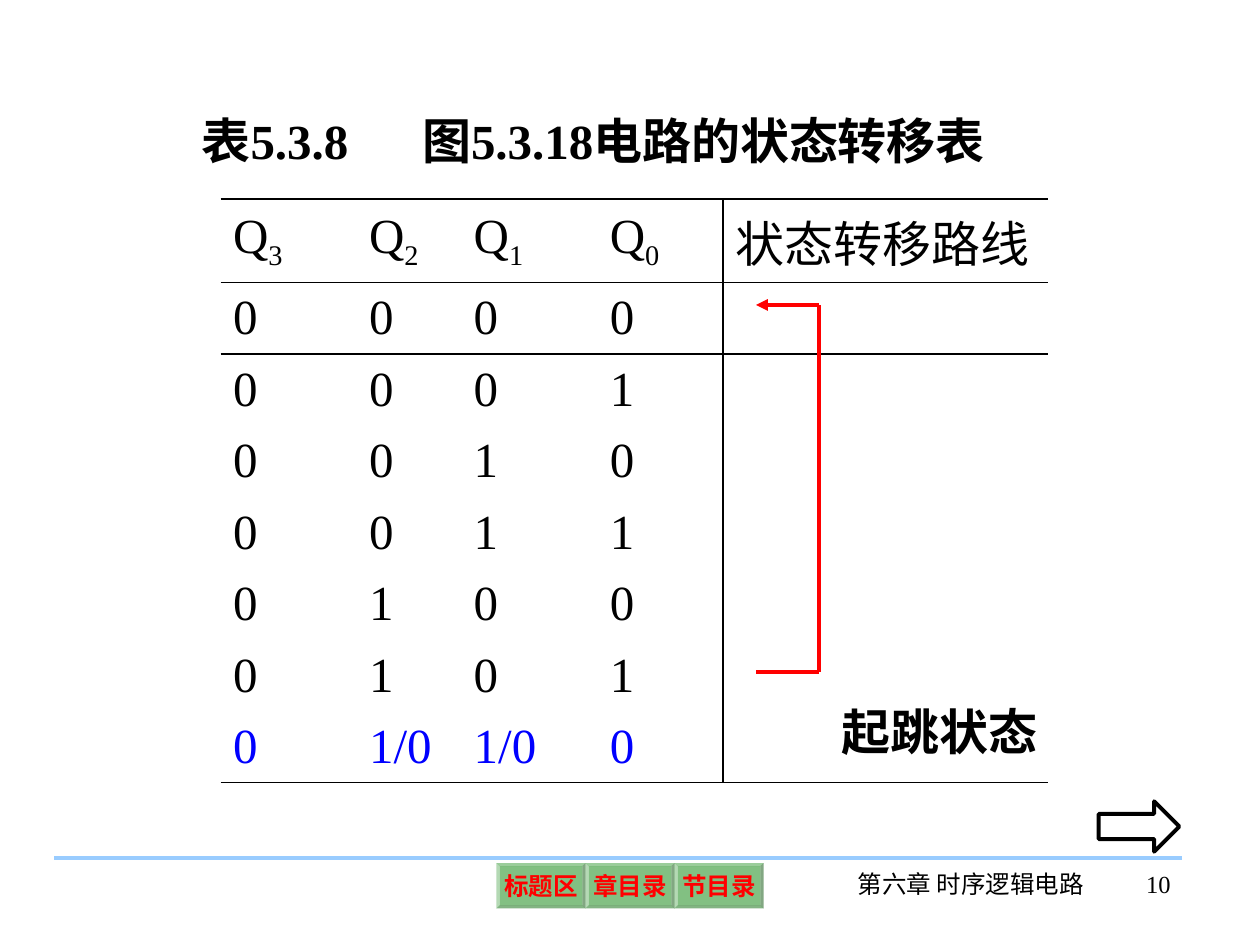
from dataclasses import dataclass
from typing import NamedTuple

from lxml import etree
from pptx import Presentation
from pptx.dml import color
from pptx.enum import shapes, text
from pptx.oxml import ns
from pptx.util import Inches, Pt


@dataclass(frozen=True)
class Theme:
    font: str = "Times New Roman"
    ink: str = "000000"
    jump: str = "0000FF"
    accent: str = "FF0000"
    rule: str = "99CCFF"
    button: str = "008000"
    button_alpha: int = 49
    body: int = 28
    small: int = 14
    line: float = 2.25
    border: float = 1.08


class Box(NamedTuple):
    x: int
    y: int
    w: int
    h: int


THEME = Theme()
NO_STYLE = "{2D5ABB26-0587-4C30-8999-92F81FD0307C}"
COL_WIDTHS = (1.08, 0.83, 1.08, 1, 2.58)
HEADER_HEIGHT, ROW_HEIGHT = 0.63, 0.56
STATES = ("0000", "0001", "0010", "0011", "0100", "0101")
JUMP_STATE = ("0", "1/0", "1/0", "0")


def box(x, y, w, h):
    return Box(Inches(x), Inches(y), Inches(w), Inches(h))


def rgb(value):
    return color.RGBColor.from_string(value)


def add_xml(parent, tag, **attrs):
    return etree.SubElement(parent, ns.qn(tag), attrs)


def style(p, size, ink=THEME.ink, bold=False, align=text.PP_ALIGN.LEFT):
    p.alignment = align
    p.font.name = THEME.font
    p.font.size = Pt(size)
    p.font.bold = bold
    p.font.color.rgb = rgb(ink)


def add_line(s, start, end, ink, arrow=False):
    line = s.shapes.add_connector(shapes.MSO_CONNECTOR.STRAIGHT, *start, *end)
    line.line.color.rgb = rgb(ink)
    line.line.width = Pt(THEME.line)
    if arrow:
        add_xml(line.line._get_or_add_ln(), "a:tailEnd", type="triangle")
    add_xml(line._element.spPr, "a:effectLst")


def add_label(s, b, words, size, **look):
    tf = s.shapes.add_textbox(*b).text_frame
    tf.word_wrap = True
    p = tf.paragraphs[0]
    p.text = words
    style(p, size, **look)


def place_title(s, b):
    title = s.shapes.title
    title.left, title.top, title.width, title.height = b
    tf = title.text_frame
    tf.auto_size = text.MSO_AUTO_SIZE.NONE
    tf.vertical_anchor = text.MSO_ANCHOR.TOP
    p = tf.paragraphs[0]
    p.add_run().text = "表5.3.8\t图5.3.18电路的状态转移表"
    tabs = add_xml(p._p.get_or_add_pPr(), "a:tabLst")
    add_xml(tabs, "a:tab", pos=str(Inches(1.75)), algn="l")
    style(p, THEME.body, bold=True)


def set_borders(cell, sides):
    tc_pr = cell._tc.get_or_add_tcPr()
    for side in "LRTB":
        if side in sides:
            ln = add_xml(tc_pr, f"a:ln{side}", w=str(Pt(THEME.border)))
            fill = add_xml(ln, "a:solidFill")
            add_xml(fill, "a:srgbClr", val=THEME.ink)


def fill_header(cells):
    for cell, index in zip(cells, "3210"):
        p = cell.text_frame.paragraphs[0]
        p.add_run().text = "Q"
        r = p.add_run()
        r.text = index
        r._r.get_or_add_rPr().set("baseline", "-25000")
        style(p, THEME.body)
    p = cells[-1].text_frame.paragraphs[0]
    p.text = "状态转移路线"
    style(p, THEME.body)


def add_state_table(s, b):
    rows = [*STATES, JUMP_STATE]
    last = len(rows)
    table = s.shapes.add_table(last + 1, len(COL_WIDTHS), *b).table
    table.first_row = table.horz_banding = False
    table._tbl.tblPr.find(ns.qn("a:tableStyleId")).text = NO_STYLE
    for column, width in zip(table.columns, COL_WIDTHS):
        column.width = Inches(width)
    row_height = (b.h - Inches(HEADER_HEIGHT)) // last
    for i, row in enumerate(table.rows):
        row.height = row_height if i else Inches(HEADER_HEIGHT)
        for j, cell in enumerate(row.cells):
            sides = {3: "R", 4: "L"}.get(j, "")
            sides += "T" if i < 2 else ""
            sides += "B" if i in (0, last) else ""
            set_borders(cell, sides)
            cell.fill.background()
            cell.vertical_anchor = text.MSO_ANCHOR.MIDDLE
    fill_header(list(table.rows[0].cells))
    for i, values in enumerate(rows, 1):
        for cell, value in zip(table.rows[i].cells, values):
            p = cell.text_frame.paragraphs[0]
            p.text = value
            style(p, THEME.body, ink=THEME.jump if i == last else THEME.ink)


def add_return_path(s, b):
    right, bottom = b.x + b.w, b.y + b.h
    points = [(b.x, bottom), (right, bottom), (right, b.y), (b.x, b.y)]
    for i, (start, end) in enumerate(zip(points, points[1:])):
        add_line(s, start, end, THEME.accent, arrow=i == 2)


def add_buttons(s, b):
    names = ("标题区", "章目录", "节目录")
    width = b.w // len(names)
    for i, name in enumerate(names):
        sp = s.shapes.add_shape(
            shapes.MSO_SHAPE.BEVEL, b.x + i * width, b.y, width, b.h)
        sp.adjustments[0] = 0.07
        sp.shadow.inherit = False
        sp.fill.solid()
        sp.fill.fore_color.rgb = rgb(THEME.button)
        clr = sp._element.spPr.find(".//" + ns.qn("a:srgbClr"))
        add_xml(clr, "a:alpha", val=str(THEME.button_alpha * 1000))
        sp.line.fill.background()
        tf = sp.text_frame
        tf.word_wrap = False
        tf.vertical_anchor = text.MSO_ANCHOR.MIDDLE
        tf.margin_left = tf.margin_right = Inches(0.04)
        tf.margin_top = tf.margin_bottom = Inches(0.04)
        p = tf.paragraphs[0]
        p.text = name
        style(p, THEME.small, THEME.accent, True, text.PP_ALIGN.CENTER)


def add_next_arrow(s, b):
    sp = s.shapes.add_shape(shapes.MSO_SHAPE.RIGHT_ARROW, *b)
    sp.shadow.inherit = False
    sp.fill.background()
    sp.line.color.rgb = rgb(THEME.ink)
    sp.line.width = Pt(THEME.line)


def add_footer(s, b):
    add_line(s, (b.x, b.y), (b.x + b.w, b.y), THEME.rule)
    top = b.y + Inches(0.04)
    add_buttons(s, Box(b.x + Inches(3.51), top, Inches(2.12), Inches(0.36)))
    add_label(s, Box(b.x + Inches(6.23), top, Inches(2.09), Inches(0.5)),
              "第六章 时序逻辑电路", THEME.small, align=text.PP_ALIGN.CENTER)
    add_label(s, Box(b.x + Inches(8.1), top, Inches(0.86), Inches(0.5)),
              "10", THEME.small, align=text.PP_ALIGN.RIGHT)


def main():
    prs = Presentation()
    prs.slide_width, prs.slide_height = Inches(10), Inches(7.5)
    s = prs.slides.add_slide(prs.slide_layouts[5])
    place_title(s, box(1.5, 0.83, 6.92, 0.57))
    add_state_table(s, box(1.75, 1.58, 6.57, 4.6))
    add_return_path(s, box(6, 2.42, 0.5, 2.91))
    add_label(s, box(6.58, 5.52, 1.92, 0.57), "起跳状态", THEME.body, bold=True)
    add_next_arrow(s, box(8.72, 6.36, 0.64, 0.4))
    add_footer(s, box(0.43, 6.81, 8.95, 0.55))
    prs.save("out.pptx")


if __name__ == "__main__":
    main()
